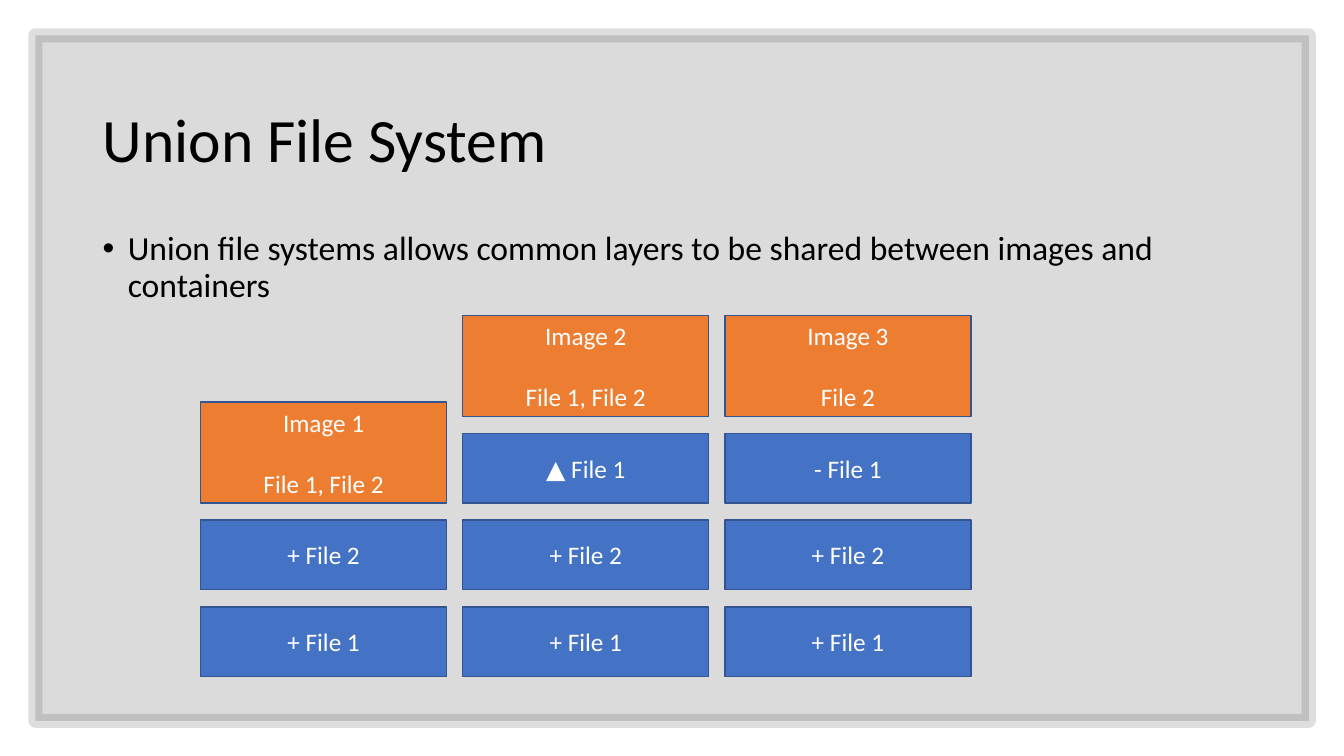
from dataclasses import dataclass

from lxml import etree
from pptx import Presentation
from pptx.dml.color import RGBColor
from pptx.enum.shapes import MSO_SHAPE
from pptx.enum.text import MSO_ANCHOR, PP_ALIGN
from pptx.oxml.ns import qn
from pptx.util import Inches, Pt

RECT = MSO_SHAPE.RECTANGLE
MIDDLE = MSO_ANCHOR.MIDDLE
CENTER = PP_ALIGN.CENTER

WIDE, HIGH = 13.33, 7.5
FONT = "Calibri"
BLACK, WHITE = "000000", "FFFFFF"
BLUE, ORANGE, EDGE = "4472C4", "ED7D31", "325491"

# Grid of the stacks, in inches; rows count upward from the base
LEFT, BASE = 1.99, 6.71
COL, ROW = 2.6, 0.86
BLOCK, LAYER, HEAD = 2.44, 0.69, 1.0


@dataclass(frozen=True)
class Box:
    left: float
    top: float
    width: float
    height: float

    def emu(self) -> tuple:
        return tuple(Inches(n) for n in (self.left, self.top, self.width, self.height))


@dataclass(frozen=True)
class Stack:
    name: str
    files: str
    layers: tuple


STACKS = (
    Stack("Image 1", "File 1, File 2", ("+ File 1", "+ File 2")),
    Stack("Image 2", "File 1, File 2", ("+ File 1", "+ File 2", "▲ File 1")),
    Stack("Image 3", "File 2", ("+ File 1", "+ File 2", "- File 1")),
)


def share(left: float, top: float, width: float, height: float) -> Box:
    """Box from percentages of the slide's size."""
    return Box(left * WIDE / 100, top * HIGH / 100,
               width * WIDE / 100, height * HIGH / 100)


def paint(color, tint: str) -> None:
    color.rgb = RGBColor.from_string(tint)


def fade(part, share: int) -> None:
    """Give the solid fill inside an XML part an opacity in percent."""
    tone = part.find(qn("a:solidFill")).find(qn("a:srgbClr"))
    etree.SubElement(tone, qn("a:alpha")).set("val", str(share * 1000))


def style(para, size: int, tint: str) -> None:
    para.font.name = FONT
    para.font.size = Pt(size)
    paint(para.font.color, tint)


def rect(slide, box: Box, fill: str, edge: str, width: float):
    shape = slide.shapes.add_shape(RECT, *box.emu())
    shape.shadow.inherit = False
    shape.fill.solid()
    paint(shape.fill.fore_color, fill)
    paint(shape.line.color, edge)
    shape.line.width = Pt(width)
    return shape


def frame(slide) -> None:
    shape = rect(slide, share(2.63, 4.67, 94.75, 90.67), BLACK, "262626", 10)
    props = shape.element.spPr
    fade(props, 14)
    fade(props.find(qn("a:ln")), 15)


def block(slide, box: Box, fill: str, lines: tuple) -> None:
    text = rect(slide, box, fill, EDGE, 1).text_frame
    text.word_wrap = True
    text.vertical_anchor = MIDDLE
    text.text = "\n".join(lines)
    for spot, para in enumerate(text.paragraphs):
        para.alignment = CENTER
        para.space_before = Pt(22 if spot else 0)
        style(para, 18, WHITE)


def label(slide, box: Box, words: str, size: int):
    """Add a text box with one paragraph, and return its frame."""
    text = slide.shapes.add_textbox(*box.emu()).text_frame
    text.word_wrap = True
    text.text = words
    para = text.paragraphs[0]
    para.line_spacing = 0.9
    style(para, size, BLACK)
    return text


def bullet(para) -> None:
    props = para._p.get_or_add_pPr()
    props.set("marL", str(Inches(0.25)))
    props.set("indent", str(Inches(-0.25)))
    etree.SubElement(props, qn("a:buFont")).set("typeface", "Arial")
    etree.SubElement(props, qn("a:buChar")).set("char", "•")
    # The schema wants default run properties last
    for font in props.findall(qn("a:defRPr")):
        props.append(font)


def cell(col: int, row: int, height: float) -> Box:
    return Box(LEFT + col * COL, BASE - row * ROW - height, BLOCK, height)


def stack(slide, col: int, item: Stack) -> None:
    for row, words in enumerate(item.layers):
        block(slide, cell(col, row, LAYER), BLUE, (words,))
    top = cell(col, len(item.layers), HEAD)
    block(slide, top, ORANGE, (item.name, item.files))


def main() -> None:
    deck = Presentation()
    deck.slide_width, deck.slide_height = Inches(WIDE), Inches(HIGH)
    slide = deck.slides.add_slide(deck.slide_layouts[6])
    frame(slide)
    title = label(slide, share(6.9, 9.2, 86.25, 19.33), "Union File System", 44)
    title.vertical_anchor = MIDDLE
    body = label(slide, share(6.9, 30, 86.25, 56.4),
                 "Union file systems allows common layers to be shared "
                 "between images and containers", 24)
    point = body.paragraphs[0]
    point.space_before = Pt(10)
    bullet(point)
    for col, item in enumerate(STACKS):
        stack(slide, col, item)
    deck.save("out.pptx")


if __name__ == "__main__":
    main()
